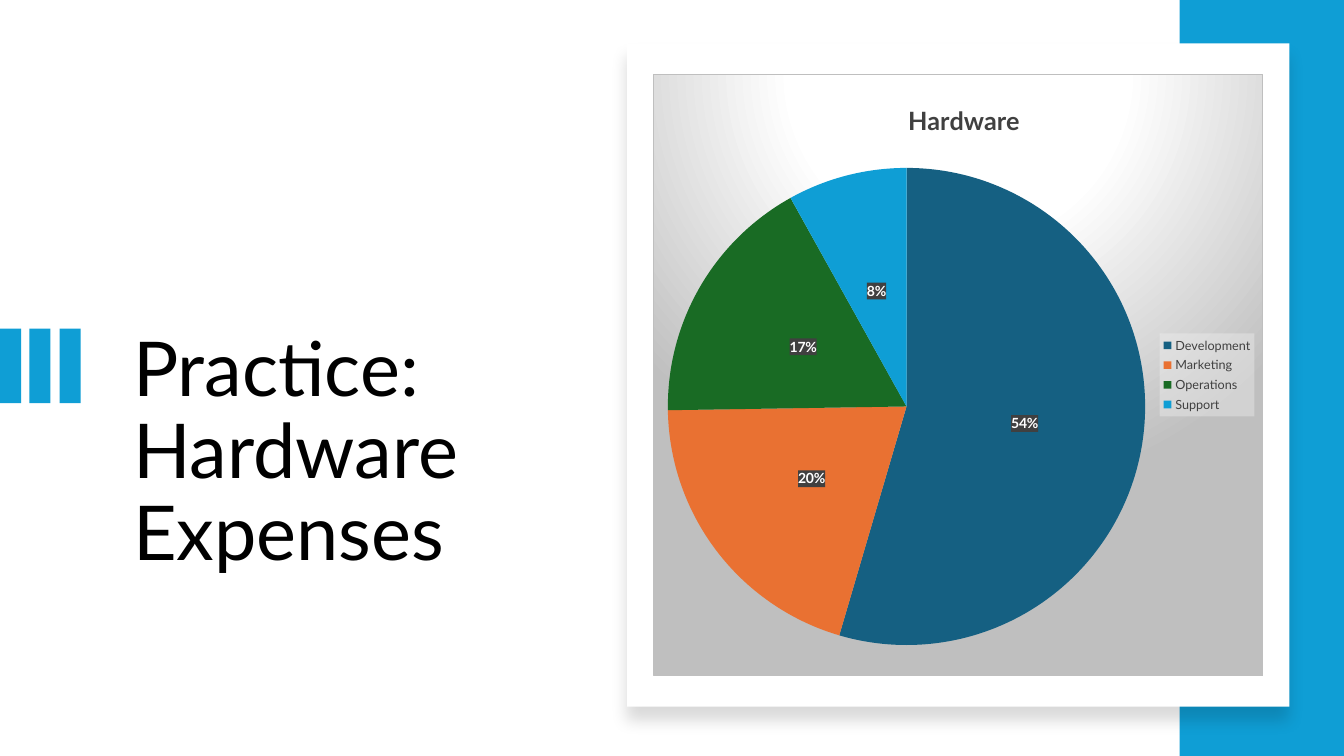
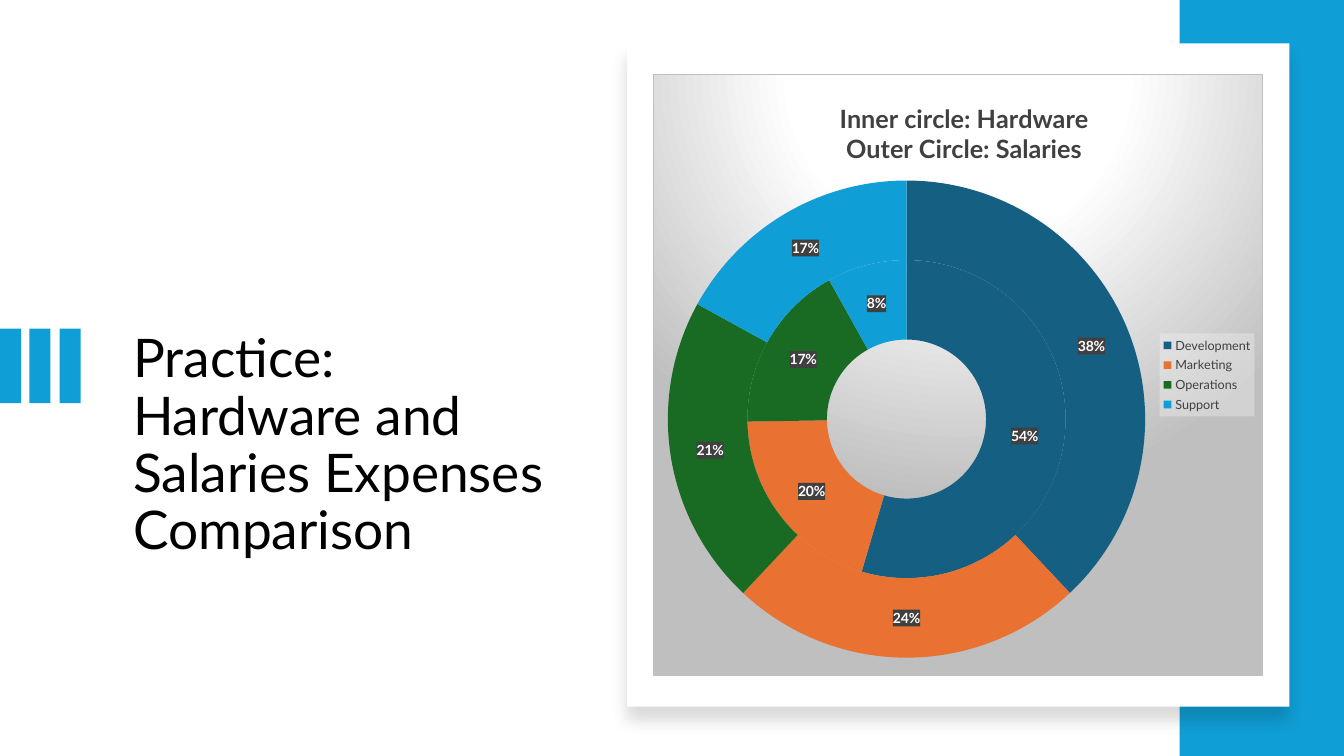
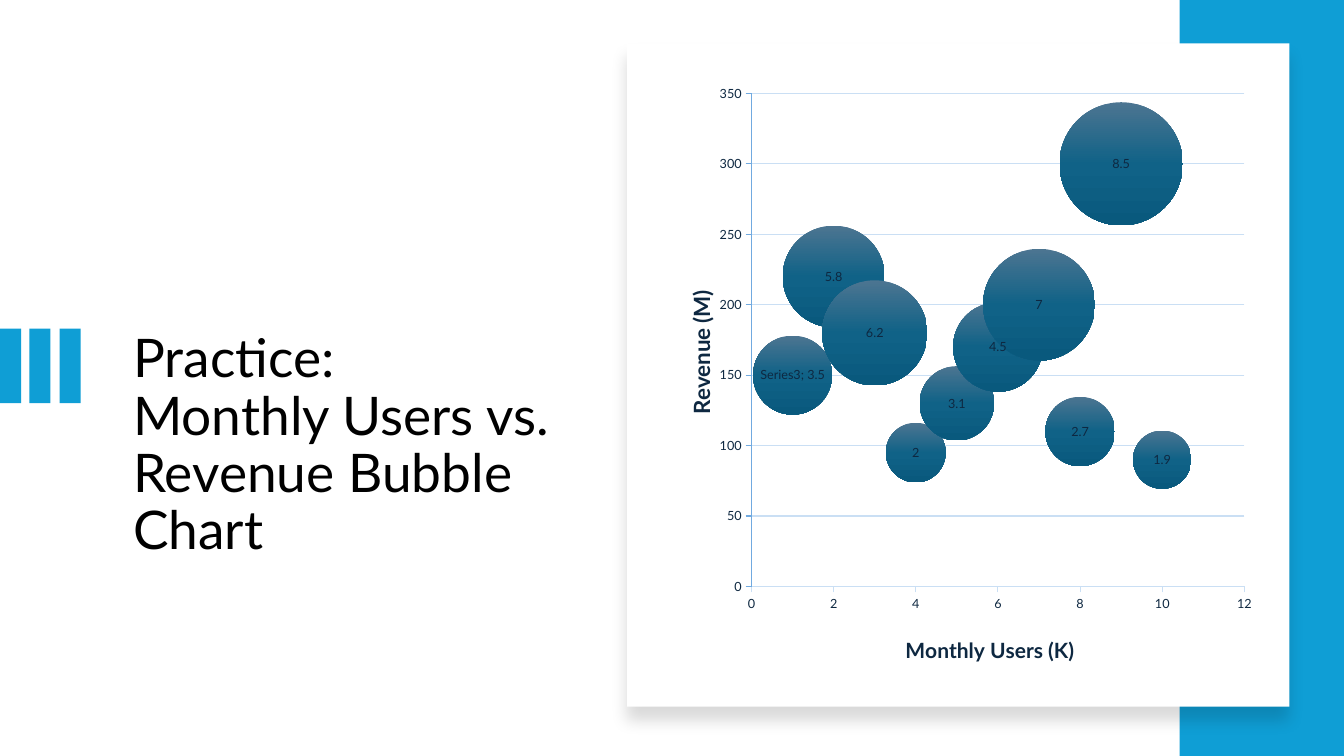
from dataclasses import dataclass

from lxml import etree
from pptx import Presentation
from pptx.chart import data as cd
from pptx.chart import datalabel as dl
from pptx.dml.color import RGBColor
from pptx.enum import chart as ch
from pptx.enum import shapes, text
from pptx.oxml import parse_xml
from pptx.oxml.ns import nsdecls, qn
from pptx.util import Inches, Pt

FONT = "Lato"
COLORS = {
    "accent": "0F9ED5", "white": "FFFFFF", "black": "000000",
    "gray": "404040", "border": "BFBFBF", "legend": "F2F2F2",
    "navy": "0E2841", "axis": "71AAE0", "grid": "CADFF4",
    "bubble_top": "4C7591", "bubble_mid": "106287", "bubble_end": "09597D",
}
SLICE_COLORS = ["156082", "E97132", "196B24", COLORS["accent"]]
DEPARTMENTS = ["Development", "Marketing", "Operations", "Support"]
CHART_BOX = [Inches(v) for v in (6.48, 0.73, 6.05, 5.98)]


@dataclass
class Box:
    left: float
    top: float
    width: float
    height: float
    color: str


@dataclass
class RoundChart:
    kind: ch.XL_CHART_TYPE
    title: str
    title_at: tuple[float, float]
    plot_top: float
    series: dict[str, list[int]]


BARS = [Box(round(i * 0.295, 2), 3.26, 0.21, 0.74, "accent") for i in range(3)]
SIDE_BAND = Box(11.7, 0, 1.63, 7.5, "accent")
PANEL = Box(6.22, 0.43, 6.57, 6.58, "white")

HARDWARE = [54, 20, 17, 8]
HARDWARE_PIE = RoundChart(
    ch.XL_CHART_TYPE.PIE, "Hardware", (0.41, 0.04), 0.156, {"Hardware": HARDWARE})
SALARY_RINGS = RoundChart(
    ch.XL_CHART_TYPE.DOUGHNUT, "Inner circle: Hardware\nOuter Circle: Salaries",
    (0.3, 0.04), 0.177, {"Series 1": HARDWARE, "Series 2": [38, 24, 21, 17]})
REVENUE = [150, 220, 180, 95, 130, 170, 200, 110, 300, 90]
BUBBLE_SIZES = [3.5, 5.8, 6.2, 2, 3.1, 4.5, 7, 2.7, 8.5, 1.9]


# Shared formatting
def rgb(name: str) -> RGBColor:
    return RGBColor.from_string(COLORS[name])


def style_font(font, size: float, color: str, bold: bool = False) -> None:
    font.name, font.size, font.bold = FONT, Pt(size), bold
    font.color.rgb = rgb(color)


def style_text(tf, size: float, color: str, bold: bool = False) -> None:
    for p in tf.paragraphs:
        for r in p.runs:
            style_font(r.font, size, color, bold)


def solid_xml(color: str, alpha: int = 100) -> str:
    return (f'<a:solidFill><a:srgbClr val="{COLORS[color]}">'
            f'<a:alpha val="{alpha * 1000}"/></a:srgbClr></a:solidFill>')


def gradient_xml(stops: list[tuple[int, str]], direction: str) -> str:
    gs = "".join(f'<a:gs pos="{pos * 1000}"><a:srgbClr val="{COLORS[c]}"/></a:gs>'
                 for pos, c in stops)
    return f'<a:gradFill rotWithShape="1"><a:gsLst>{gs}</a:gsLst>{direction}</a:gradFill>'


def chart_sppr(content: str) -> etree._Element:
    return parse_xml(f'<c:spPr {nsdecls("c", "a")}>{content}</c:spPr>')


def place(element, index: int, target: str = "", **edges: float) -> None:
    """Give a chart part a manual layout, as fractions of the chart."""
    for old in element.findall(qn("c:layout")):
        element.remove(old)
    inner = f'<c:layoutTarget val="{target}"/>' if target else ""
    inner += "".join(f'<c:{k}Mode val="edge"/>' for k in edges if k in "xy")
    inner += "".join(f'<c:{k} val="{v}"/>' for k, v in edges.items())
    element.insert(index, parse_xml(
        f'<c:layout {nsdecls("c")}><c:manualLayout>{inner}</c:manualLayout></c:layout>'))


# Slide frame
def add_box(parent, box: Box):
    sp = parent.add_shape(shapes.MSO_SHAPE.RECTANGLE, Inches(box.left), Inches(box.top),
                          Inches(box.width), Inches(box.height))
    sp.shadow.inherit = False
    sp.fill.solid()
    sp.fill.fore_color.rgb = rgb(box.color)
    sp.line.fill.background()
    return sp


def add_framed_slide(prs, title: str, size: float):
    s = prs.slides.add_slide(prs.slide_layouts[5])
    sp = s.shapes.title
    sp.left, sp.top, sp.width, sp.height = (Inches(v) for v in (1.22, 3.24, 4.41, 2.61))
    tf = sp.text_frame
    tf.text = title
    tf.word_wrap = True
    tf.auto_size = text.MSO_AUTO_SIZE.NONE
    tf.vertical_anchor = text.MSO_ANCHOR.TOP
    tf.paragraphs[0].alignment = text.PP_ALIGN.LEFT
    tf.paragraphs[0].line_spacing = 0.9
    style_text(tf, size, "black")

    group = s.shapes.add_group_shape()
    for bar in BARS:
        add_box(group.shapes, bar)
    add_box(s.shapes, SIDE_BAND)
    panel = add_box(s.shapes, PANEL)
    effects = panel._element.spPr.find(qn("a:effectLst"))
    effects.append(parse_xml(
        f'<a:outerShdw {nsdecls("a")} blurRad="{Pt(11)}" dist="{Pt(10)}" dir="5400000" '
        'algn="t" rotWithShape="0"><a:srgbClr val="000000"><a:alpha val="15000"/>'
        '</a:srgbClr></a:outerShdw>'))
    return s


# Charts
def add_chart(s, kind, chart_data):
    chart = s.shapes.add_chart(kind, *CHART_BOX, chart_data).chart
    style_font(chart.font, 10, "black")
    space = chart._chartSpace
    date = space.find(qn("c:date1904"))
    space.insert(0 if date is None else 1,
                 parse_xml(f'<c:roundedCorners {nsdecls("c")} val="0"/>'))
    return chart


def series_labels(series, size: float, color: str, bold: bool = False):
    labels = dl.DataLabels(series._element.get_or_add_dLbls())
    style_font(labels.font, size, color, bold)
    labels.show_value = True
    return labels


def add_round_chart(s, spec: RoundChart) -> None:
    chart_data = cd.CategoryChartData()
    chart_data.categories = DEPARTMENTS
    for name, values in spec.series.items():
        chart_data.add_series(name, values)
    chart = add_chart(s, spec.kind, chart_data)

    chart.has_title = True
    tf = chart.chart_title.text_frame
    tf.text = spec.title
    style_text(tf, 18, "gray", True)
    x, y = spec.title_at
    place(chart.chart_title._element, 1, x=x, y=y)
    place(chart._chartSpace.chart.plotArea, 0, "inner",
          x=0.023, y=spec.plot_top, w=0.784, h=0.793)

    chart.has_legend = True
    legend = chart.legend
    legend.position = ch.XL_LEGEND_POSITION.RIGHT
    legend.include_in_layout = False
    style_font(legend.font, 9, "gray")
    legend._element.find(qn("c:txPr")).addprevious(chart_sppr(solid_xml("legend", 39)))

    backdrop = gradient_xml(
        [(0, "white"), (39, "white"), (100, "border")],
        '<a:path path="circle"><a:fillToRect l="50000" t="-80000" r="50000" b="180000"/></a:path>')
    outline = f'<a:ln w="{Pt(0.75)}">{solid_xml("border")}</a:ln>'
    chart._chartSpace.chart.addnext(chart_sppr(backdrop + outline))

    for series in chart.plots[0].series:
        for i, color in enumerate(SLICE_COLORS):
            fmt = series.points[i].format
            fmt.fill.solid()
            fmt.fill.fore_color.rgb = RGBColor.from_string(color)
            fmt.line.fill.background()
        labels = series_labels(series, 10, "white", True)
        labels.number_format = '0"%"'
        labels.number_format_is_linked = False
        if spec.kind == ch.XL_CHART_TYPE.PIE:
            labels.position = ch.XL_LABEL_POSITION.CENTER
        labels._element.find(qn("c:txPr")).addprevious(chart_sppr(solid_xml("gray", 90)))


def style_axis(axis, title: str, size: float, line: str, top: float, step: float,
               title_at: tuple[float, float]) -> None:
    axis.minimum_scale, axis.maximum_scale, axis.major_unit = 0, top, step
    axis.major_tick_mark = ch.XL_TICK_MARK.OUTSIDE
    axis.minor_tick_mark = ch.XL_TICK_MARK.NONE
    axis.format.line.color.rgb = rgb(line)
    axis.format.line.width = Pt(0.75)
    style_font(axis.tick_labels.font, 9, "navy")
    axis.has_title = True
    tf = axis.axis_title.text_frame
    tf.text = title
    style_text(tf, size, "navy", True)
    place(axis.axis_title._element, 1, x=title_at[0], y=title_at[1])


def add_bubble_chart(s) -> None:
    chart_data = cd.BubbleChartData()
    points = chart_data.add_series("Series 1")
    for users, (revenue, size) in enumerate(zip(REVENUE, BUBBLE_SIZES), start=1):
        points.add_data_point(users, revenue, size)
    chart = add_chart(s, ch.XL_CHART_TYPE.BUBBLE, chart_data)
    chart.has_title = False
    chart.has_legend = False
    place(chart._chartSpace.chart.plotArea, 0, "inner", x=0.161, y=0.033, w=0.808, h=0.818)

    # Axes
    x_axis, y_axis = chart.category_axis, chart.value_axis
    style_axis(x_axis, "Monthly Users (K)", 15, "grid", 12, 2, (0.407, 0.925))
    style_axis(y_axis, "Revenue (M)", 16, "axis", 350, 50, (0.046, 0.353))
    x_axis.has_major_gridlines = False
    y_axis.has_major_gridlines = True
    grid = y_axis.major_gridlines.format.line
    grid.color.rgb = rgb("grid")
    grid.width = Pt(0.75)
    body = y_axis.axis_title._element.find(".//" + qn("a:bodyPr"))
    body.set("rot", "-5400000")
    body.set("vert", "horz")

    # Bubbles and their labels
    series = chart.plots[0].series[0]
    series.format.line.fill.background()
    series.format.fill.background()
    sppr = series._element.find(qn("c:spPr"))
    shade = gradient_xml([(0, "bubble_top"), (50, "bubble_mid"), (100, "bubble_end")],
                         '<a:lin ang="5400000" scaled="0"/>')
    sppr.replace(sppr.find(qn("a:noFill")), chart_sppr(shade)[0])
    labels = series_labels(series, 9, "navy")
    labels.position = ch.XL_LABEL_POSITION.CENTER
    labels._element.find(qn("c:showBubbleSize")).set("val", "1")
    first = series.points[0].data_label
    first.text_frame.text = "Series3; 3.5"
    style_text(first.text_frame, 9, "navy")
    first.position = ch.XL_LABEL_POSITION.CENTER


def main() -> None:
    prs = Presentation()
    prs.slide_width, prs.slide_height = Inches(13.33), Inches(7.5)

    s = add_framed_slide(prs, "Practice:\vHardware Expenses", 54)
    add_round_chart(s, HARDWARE_PIE)

    s = add_framed_slide(prs, "Practice:\vHardware and Salaries Expenses Comparison", 38)
    add_round_chart(s, SALARY_RINGS)

    s = add_framed_slide(prs, "Practice:\vMonthly Users vs. Revenue Bubble Chart", 38)
    add_bubble_chart(s)

    prs.save("out.pptx")


if __name__ == "__main__":
    main()
